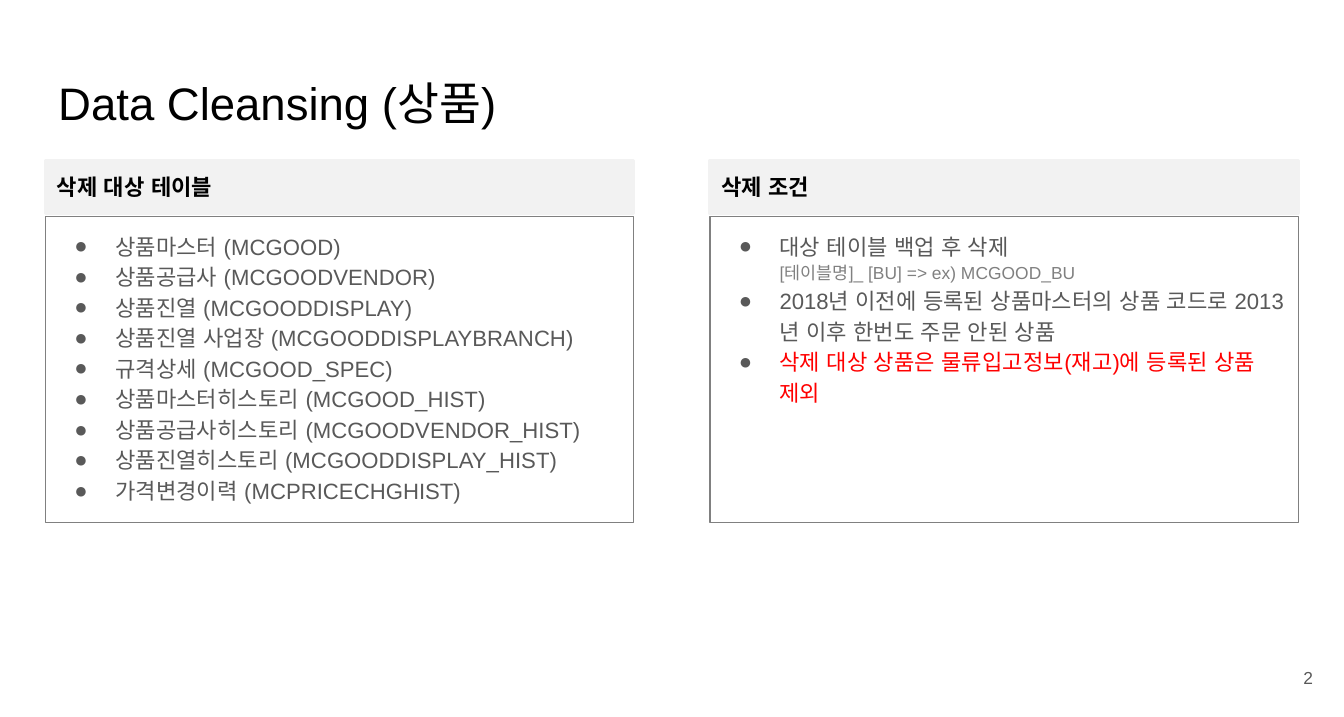
from copy import deepcopy

from lxml.etree import SubElement
from pptx import Presentation
from pptx.dml.color import RGBColor
from pptx.enum.shapes import MSO_SHAPE as SHAPE
from pptx.enum.text import MSO_ANCHOR as ANCHOR, MSO_AUTO_SIZE as FIT, PP_ALIGN as ALIGN
from pptx.oxml.ns import qn
from pptx.util import Cm, Pt

FONT = "Arial"
BLACK, DARK, GRAY, PALE, RED = "000000", "595959", "808080", "F2F2F2", "FF0000"
MARGIN, PANEL_W, PANEL_STEP = 1.02, 13.13, 14.83
PANEL_TOP, HEAD_H, LIST_DROP, LIST_H = 3.58, 1.19, 1.25, 6.83

TABLES = [
    "상품마스터 (MCGOOD)",
    "상품공급사 (MCGOODVENDOR)",
    "상품진열 (MCGOODDISPLAY)",
    "상품진열 사업장 (MCGOODDISPLAYBRANCH)",
    "규격상세 (MCGOOD_SPEC)",
    "상품마스터히스토리 (MCGOOD_HIST)",
    "상품공급사히스토리 (MCGOODVENDOR_HIST)",
    "상품진열히스토리 (MCGOODDISPLAY_HIST)",
    "가격변경이력 (MCPRICECHGHIST)",
]
CONDITIONS = [
    ("대상 테이블 백업 후 삭제", DARK, "[테이블명]_ [BU] => ex) MCGOOD_BU"),
    ("2018년 이전에 등록된 상품마스터의 상품 코드로 2013년 이후 한번도 주문 안된 상품", DARK, None),
    ("삭제 대상 상품은 물류입고정보(재고)에 등록된 상품 제외", RED, None),
]


def rgb(value):
    return RGBColor.from_string(value)


def add_text(p, text, size=14, color=DARK, bold=False, align=ALIGN.LEFT):
    p.alignment = align
    r = p.add_run()
    r.text = text
    r.font.size, r.font.bold, r.font.name = Pt(size), bold, FONT
    r.font.color.rgb = rgb(color)
    SubElement(r._r.rPr, qn("a:ea"), typeface=FONT)
    return r


def set_frame(tf, inset=0.28, anchor=ANCHOR.TOP):
    tf.word_wrap, tf.auto_size, tf.vertical_anchor = True, FIT.NONE, anchor
    tf.margin_left = tf.margin_right = tf.margin_top = tf.margin_bottom = Cm(inset)


def place(sp, x, y, w, h):
    sp.left, sp.top, sp.width, sp.height = Cm(x), Cm(y), Cm(w), Cm(h)


def set_bullet(p):
    p.line_spacing, p.space_before = 1.15, Pt(0)
    pPr = p._p.get_or_add_pPr()
    pPr.set("marL", str(Cm(1.27)))
    pPr.set("indent", str(Cm(-0.91)))
    SubElement(SubElement(pPr, qn("a:buClr")), qn("a:srgbClr"), val=DARK)
    SubElement(pPr, qn("a:buFont"), typeface=FONT)
    SubElement(pPr, qn("a:buChar"), char="●")


def add_title(s, text, x, y, w, h):
    sp = s.shapes.title
    place(sp, x, y, w, h)
    set_frame(sp.text_frame)
    add_text(sp.text_frame.paragraphs[0], text, size=28.8, color=BLACK)


def add_panel(s, body, heading, items, x, y, w):
    head = s.shapes.add_shape(SHAPE.RECTANGLE, Cm(x), Cm(y), Cm(w), Cm(HEAD_H))
    head.shadow.inherit = False
    head.fill.solid()
    head.fill.fore_color.rgb = head.line.color.rgb = rgb(PALE)
    head.line.width = Pt(2)
    set_frame(head.text_frame, 0.25, ANCHOR.MIDDLE)
    add_text(head.text_frame.paragraphs[0], heading, color=BLACK, bold=True)

    place(body, x, y + LIST_DROP, w, LIST_H)
    body.line.color.rgb = rgb(GRAY)
    body.line.width = Pt(0.75)
    tf = body.text_frame
    set_frame(tf)
    for i, (text, color, note) in enumerate(items):
        p = tf.add_paragraph() if i else tf.paragraphs[0]
        set_bullet(p)
        r = add_text(p, text, color=color)
        if note:
            p.add_line_break()
            p._p[-1].append(deepcopy(r._r.rPr))
            add_text(p, note, size=11, color=GRAY)


def add_number(s, text, x, y, w, h):
    tf = s.shapes.add_textbox(Cm(x), Cm(y), Cm(w), Cm(h)).text_frame
    set_frame(tf, anchor=ANCHOR.MIDDLE)
    add_text(tf.paragraphs[0], text, size=11, align=ALIGN.RIGHT)


def main():
    prs = Presentation()
    prs.slide_width, prs.slide_height = Cm(30), Cm(16)
    s = prs.slides.add_slide(prs.slide_layouts[3])
    add_title(s, "Data Cleansing (상품)", MARGIN, 1.4, 27.97, 1.78)
    panels = [
        ("삭제 대상 테이블", [(text, DARK, None) for text in TABLES]),
        ("삭제 조건", CONDITIONS),
    ]
    for i, (heading, items) in enumerate(panels):
        body = s.placeholders[i + 1]
        add_panel(s, body, heading, items, MARGIN + i * PANEL_STEP, PANEL_TOP, PANEL_W)
    add_number(s, "2", 27.79, 14.5, 1.8, 1.22)
    prs.save("out.pptx")


if __name__ == "__main__":
    main()
